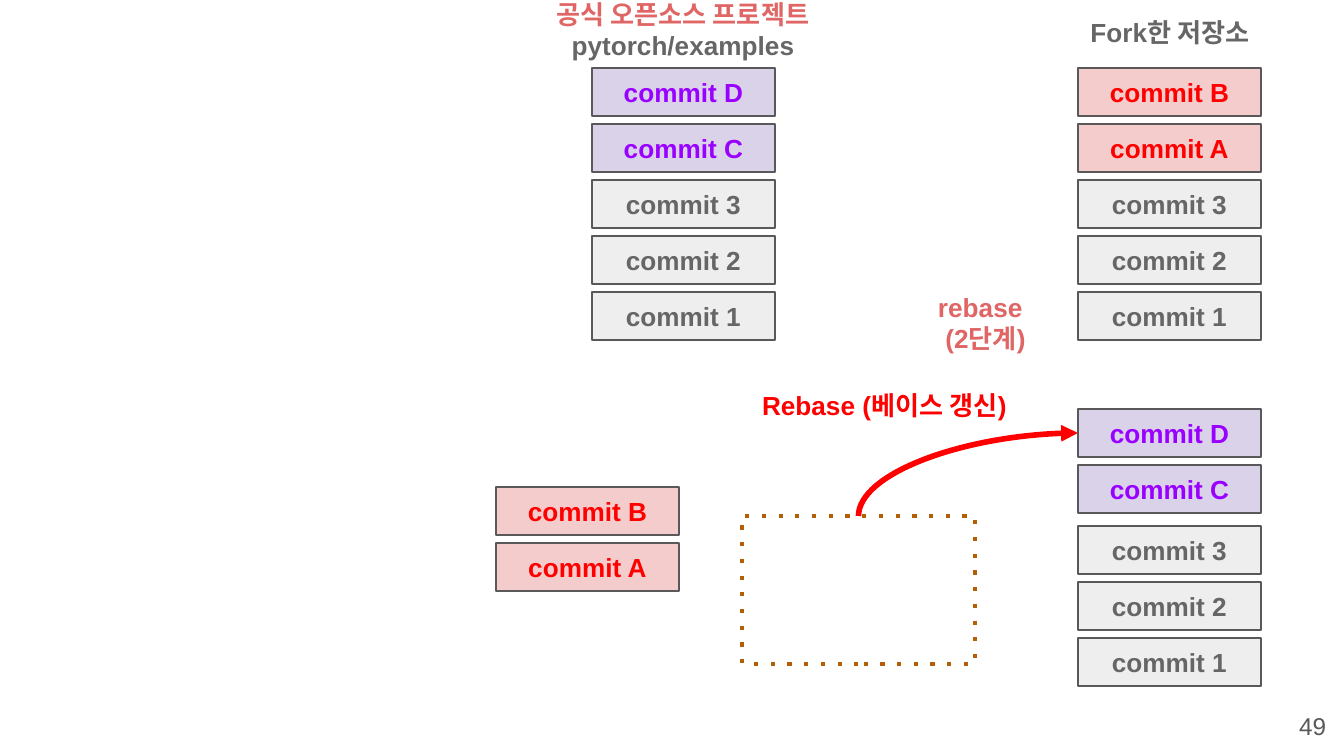
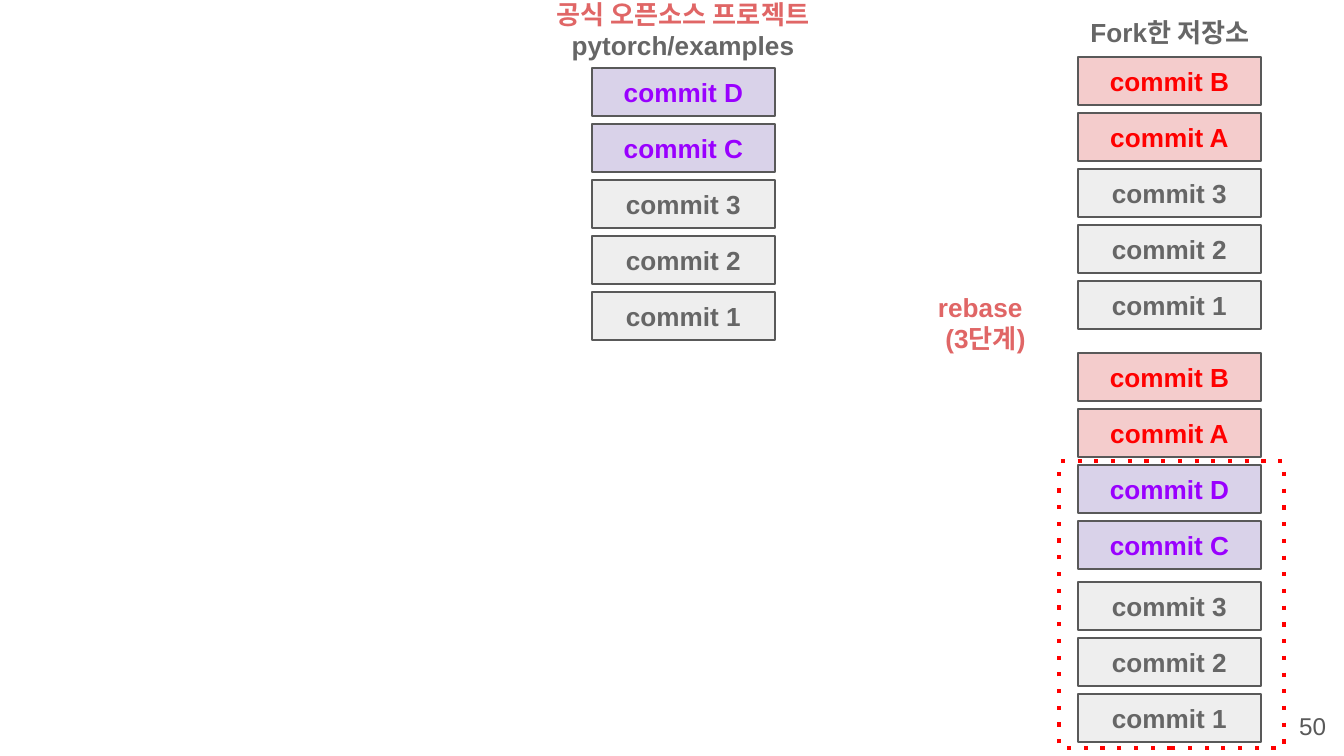
from lxml.etree import SubElement
from pptx import Presentation
from pptx.dml.color import RGBColor
from pptx.enum.shapes import MSO_CONNECTOR, MSO_SHAPE
from pptx.enum.text import MSO_ANCHOR, PP_ALIGN
from pptx.oxml.ns import qn
from pptx.util import Emu, Pt

EMU_PER_PX = 914400 / 134.4
FONT = "Arial"
GRAY = RGBColor(0x66, 0x66, 0x66)
DARK = RGBColor(0x59, 0x59, 0x59)
PALE_GRAY = RGBColor(0xEE, 0xEE, 0xEE)
RED = RGBColor(0xFF, 0x00, 0x00)
PALE_RED = RGBColor(0xF4, 0xCC, 0xCC)
PURPLE = RGBColor(0x99, 0x00, 0xFF)
PALE_PURPLE = RGBColor(0xD9, 0xD2, 0xE9)
CORAL = RGBColor(0xE0, 0x66, 0x66)
BROWN = RGBColor(0xB4, 0x5F, 0x06)

COMMIT_COLORS = {
    **dict.fromkeys("123", (PALE_GRAY, GRAY)),
    **dict.fromkeys("AB", (PALE_RED, RED)),
    **dict.fromkeys("CD", (PALE_PURPLE, PURPLE)),
}
COMMIT_WIDTH, COMMIT_HEIGHT, COMMIT_PITCH = 183, 48, 56
OFFICIAL_X, FORK_X, DETACHED_X = 592, 1078, 496


def px(*lengths):
    return [Emu(round(length * EMU_PER_PX)) for length in lengths]


def write(shape, text, color, align=PP_ALIGN.CENTER, size=14, bold=True):
    """Fill the shape with text; each line becomes a paragraph."""
    frame = shape.text_frame
    frame.word_wrap = True
    frame.margin_left, frame.margin_top, frame.margin_right, frame.margin_bottom = px(13, 13, 13, 13)
    frame.text = text
    for paragraph in frame.paragraphs:
        paragraph.alignment = align
        for run in paragraph.runs:
            run.font.name = FONT
            run.font.size = Pt(size)
            run.font.bold = bold
            run.font.color.rgb = color
    return frame


# number, step, commit stacks (left, top, commits from newest), dotted frame, its colour
STEPS = [
    ("49", "2", [(OFFICIAL_X, 68, "DC321"), (FORK_X, 68, "BA321"), (DETACHED_X, 487, "BA"),
                 (FORK_X, 526, "321"), (FORK_X, 409, "DC")], (742, 516, 233, 148), BROWN),
    ("50", "3", [(OFFICIAL_X, 68, "DC321"), (FORK_X, 57, "BA321"), (FORK_X, 353, "BADC"),
                 (FORK_X, 582, "321")], (1059, 461, 225, 287), RED),
]

prs = Presentation()
prs.slide_width, prs.slide_height = px(1344, 756)

for number, step, stacks, dotted_place, dotted_color in STEPS:
    slide = prs.slides.add_slide(prs.slide_layouts[6])
    shapes = slide.shapes

    commits = {}
    for left, top, names in stacks:
        for row, name in enumerate(names):
            fill, color = COMMIT_COLORS[name]
            commit = shapes.add_shape(MSO_SHAPE.RECTANGLE, *px(
                left, top + row * COMMIT_PITCH, COMMIT_WIDTH, COMMIT_HEIGHT))
            commit.shadow.inherit = False
            commit.fill.solid()
            commit.fill.fore_color.rgb = fill
            commit.line.color.rgb = DARK
            commit.line.width = Pt(0.75)
            write(commit, f"commit {name}", color).vertical_anchor = MSO_ANCHOR.MIDDLE
            commits[left, top, name] = commit

    dotted = shapes.add_shape(MSO_SHAPE.RECTANGLE, *px(*dotted_place))
    dotted.shadow.inherit = False
    dotted.fill.background()
    dotted.line.color.rgb = dotted_color
    dotted.line.width = Pt(2.25)
    SubElement(dotted.element.spPr.find(qn("a:ln")), qn("a:prstDash"), val="dot")

    official = write(shapes.add_textbox(*px(470, -15, 426, 48)),
                     "공식 오픈소스 프로젝트\vpytorch/examples", CORAL)
    official.paragraphs[0].runs[1].font.color.rgb = GRAY
    write(shapes.add_textbox(*px(957, 3, 426, 48)), "Fork한 저장소", GRAY)
    stage = write(shapes.add_textbox(*px(925, 278, 121, 78)), f"rebase\n({step}단계)", CORAL)
    stage.paragraphs[0].alignment = PP_ALIGN.LEFT
    write(shapes.add_textbox(*px(1258, 698, 81, 58)), number, DARK, PP_ALIGN.RIGHT, 13, False)

    if step == "2":
        write(shapes.add_textbox(*px(749, 376, 286, 58)), "Rebase (베이스 갱신)", RED, PP_ALIGN.LEFT)
        rebase = shapes.add_connector(MSO_CONNECTOR.CURVE, 0, 0, 0, 0)
        rebase.begin_connect(dotted, 0)
        rebase.end_connect(commits[FORK_X, 409, "D"], 1)
        rebase.line.color.rgb = RED
        rebase.line.width = Pt(3)

        # A quarter curve leaves upwards only when its frame is turned by 270 degrees.
        run = rebase.end_x - rebase.begin_x
        rise = rebase.begin_y - rebase.end_y
        center_x = (rebase.begin_x + rebase.end_x) // 2
        center_y = (rebase.begin_y + rebase.end_y) // 2
        rebase.left, rebase.top = Emu(center_x - rise // 2), Emu(center_y - run // 2)
        rebase.width, rebase.height = Emu(rise), Emu(run)
        properties = rebase._element.spPr
        turn = properties.find(qn("a:xfrm"))
        turn.attrib.pop("flipV", None)
        turn.set("rot", "16200000")
        properties.find(qn("a:prstGeom")).set("prst", "curvedConnector2")
        SubElement(properties.find(qn("a:ln")), qn("a:tailEnd"), type="triangle")
        SubElement(properties, qn("a:effectLst"))

prs.save("out.pptx")
